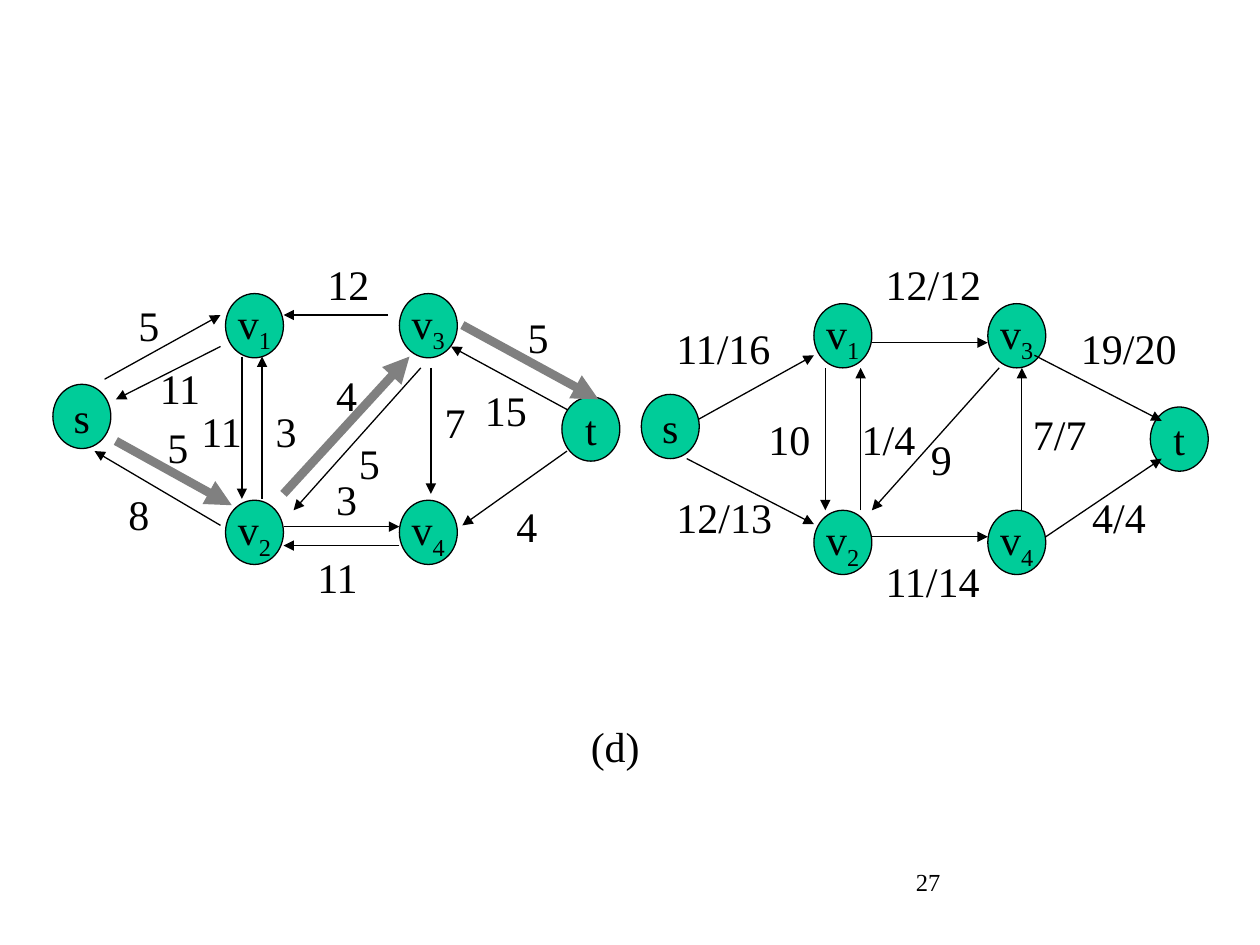
from lxml.etree import SubElement
from pptx import Presentation
from pptx.dml.color import RGBColor
from pptx.enum.shapes import MSO_CONNECTOR, MSO_SHAPE
from pptx.enum.text import MSO_ANCHOR, PP_ALIGN
from pptx.oxml.ns import qn
from pptx.util import Inches, Pt

FONT = "Times New Roman"
BLACK, GREEN, GRAY = "000000", "00CC99", "808080"
NODE_W, NODE_H = 0.46, 0.51
THIN, THICK = (BLACK, 0.75), (GRAY, 5)
CHAR_W = {"/": 0.1, "(": 0.12, ")": 0.12}
DIGIT_W = 0.17

# Node name: offset from the upper left corner of its network
NODES = {
    "s": (0, 0.72),
    "v1": (1.37, 0), "v2": (1.37, 1.64),
    "v3": (2.75, 0), "v4": (2.75, 1.64),
    "t": (4.04, 0.82),
}

# Each edge: start, end, label, left and top of the label, line style
RESIDUAL = [
    ((0.83, 3.01), (1.75, 2.5), "5", (1, 2.33), THIN),
    ((1.75, 2.75), (0.92, 3.17), "11", (1.17, 2.83), THIN),
    ((0.92, 3.5), (1.84, 4.01), "5", (1.23, 3.3), THICK),
    ((1.75, 4.17), (0.75, 3.58), "8", (0.92, 3.83), THIN),
    ((1.92, 2.83), (1.92, 3.96), "11", (1.5, 3.17), THIN),
    ((2.08, 3.96), (2.08, 2.83), "3", (2.09, 3.17), THIN),
    ((3.08, 2.5), (2.25, 2.5), "12", (2.5, 2), THIN),
    ((3.34, 2.92), (2.33, 4.05), "5", (2.75, 3.42), THIN),
    ((2.25, 3.92), (3.25, 2.83), "4", (2.57, 2.88), THICK),
    ((2.25, 4.18), (3.17, 4.18), "3", (2.57, 3.71), THIN),
    ((3.17, 4.33), (2.25, 4.33), "11", (2.42, 4.33), THIN),
    ((3.42, 2.92), (3.42, 3.92), "7", (3.43, 3.1), THIN),
    ((3.67, 2.58), (4.75, 3.17), "5", (4.09, 2.42), THICK),
    ((4.5, 3.25), (3.58, 2.75), "15", (3.75, 3), THIN),
    ((4.5, 3.58), (3.67, 4.17), "4", (4, 3.92), THIN),
]
FLOW = [
    ((5.54, 3.33), (6.46, 2.82), "11/16", (5.27, 2.51), THIN),
    ((5.45, 3.64), (6.46, 4.16), "12/13", (5.27, 3.85), THIN),
    ((6.92, 2.72), (7.84, 2.72), "12/12", (6.93, 2), THIN),
    ((6.55, 2.92), (6.55, 4.05), "10", (6, 3.23), THIN),
    ((6.83, 4.05), (6.83, 2.92), "1/4", (6.74, 3.23), THIN),
    ((7.93, 2.92), (6.92, 4.05), "9", (7.29, 3.39), THIN),
    ((6.92, 4.26), (7.84, 4.26), "11/14", (6.93, 4.36), THIN),
    ((8.11, 4.05), (8.11, 2.92), "7/7", (8.1, 3.19), THIN),
    ((8.21, 2.82), (9.22, 3.34), "19/20", (8.48, 2.51), THIN),
    ((8.3, 4.26), (9.22, 3.64), "4/4", (8.57, 3.85), THIN),
]
NETWORKS = [((0.42, 2.33), RESIDUAL), ((5.09, 2.41), FLOW)]


def color(value):
    return RGBColor.from_string(value)


def style_run(r, size=24):
    r.font.name = FONT
    r.font.size = Pt(size)
    r.font.color.rgb = color(BLACK)


def style_line(line, style):
    line.color.rgb = color(style[0])
    line.width = Pt(style[1])


def add_label(s, text, left, top, size=24):
    width = 0.2 + sum(CHAR_W.get(c, DIGIT_W) for c in text)
    tb = s.shapes.add_textbox(Inches(left), Inches(top), Inches(width), Inches(0.5))
    tf = tb.text_frame
    tf.word_wrap = False
    tf.text = text
    p = tf.paragraphs[0]
    p.alignment = PP_ALIGN.LEFT
    style_run(p.runs[0], size)


def add_node(s, name, left, top):
    sp = s.shapes.add_shape(MSO_SHAPE.OVAL, Inches(left), Inches(top),
                            Inches(NODE_W), Inches(NODE_H))
    sp.shadow.inherit = False
    sp.fill.solid()
    sp.fill.fore_color.rgb = color(GREEN)
    style_line(sp.line, THIN)
    tf = sp.text_frame
    tf.word_wrap = False
    tf.vertical_anchor = MSO_ANCHOR.MIDDLE
    p = tf.paragraphs[0]
    p.alignment = PP_ALIGN.CENTER
    for i, char in enumerate(name):
        r = p.add_run()
        r.text = char
        style_run(r)
        if i:  # the index of a vertex is a subscript
            r.font._element.set("baseline", "-25000")


def add_arrow(s, start, end, style):
    cx = s.shapes.add_connector(MSO_CONNECTOR.STRAIGHT,
                                *(Inches(v) for v in start + end))
    style_line(cx.line, style)
    SubElement(cx.line._get_or_add_ln(), qn("a:tailEnd"), type="triangle")
    SubElement(cx._element.spPr, qn("a:effectLst"))


def main():
    prs = Presentation()
    prs.slide_width, prs.slide_height = Inches(10), Inches(7.5)
    s = prs.slides.add_slide(prs.slide_layouts[6])
    for (x, y), edges in NETWORKS:
        for name, (dx, dy) in NODES.items():
            add_node(s, name, x + dx, y + dy)
        for start, end, text, at, style in edges:
            add_arrow(s, start, end, style)
            add_label(s, text, *at)
    add_label(s, "(d)", 4.59, 5.67)
    add_label(s, "27", 7.17, 6.83, 14)
    prs.save("out.pptx")


if __name__ == "__main__":
    main()
